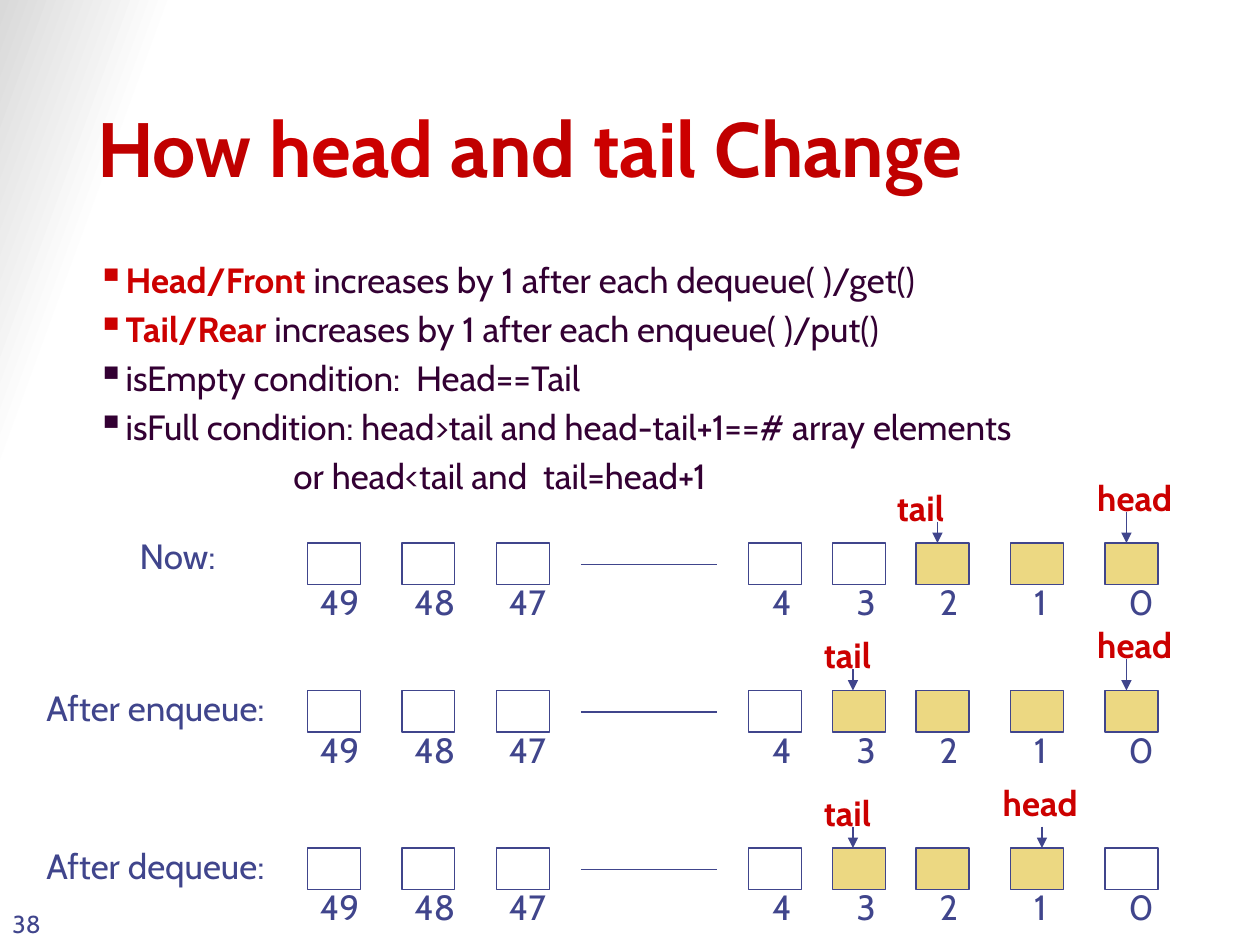
import pptx
import pptx.util
import pptx.dml.color
import pptx.enum.shapes
import pptx.enum.text
import pptx.oxml
import pptx.oxml.ns
from lxml import etree

Inches, Pt = pptx.util.Inches, pptx.util.Pt
RGBColor = pptx.dml.color.RGBColor
qn = pptx.oxml.ns.qn
ANCHOR = pptx.enum.text.MSO_ANCHOR

FONT = "Cabin"
WHITE = RGBColor(0xFF, 0xFF, 0xFF)
GREY = RGBColor(0xD9, 0xD9, 0xD9)
BLUE = RGBColor(0x40, 0x45, 0x8C)
DARK_RED = RGBColor(0xC0, 0x00, 0x00)
RED = RGBColor(0xCC, 0x00, 0x00)
PLUM = RGBColor(0x33, 0x00, 0x33)
GOLD = RGBColor(0xEC, 0xD8, 0x82)


def add_text(x, y, w, h, text, color=BLUE, size=20, bold=False):
    tf = s.shapes.add_textbox(Inches(x), Inches(y), Inches(w), Inches(h)).text_frame
    tf.word_wrap = True
    r = tf.paragraphs[0].add_run()
    r.text = text
    r.font.name, r.font.size, r.font.bold = FONT, Pt(size), bold
    r.font.color.rgb = color
    return tf


def add_line(x1, y1, x2, y2, arrow=False):
    line = s.shapes.add_connector(pptx.enum.shapes.MSO_CONNECTOR.STRAIGHT,
                                  Inches(x1), Inches(y1), Inches(x2), Inches(y2))
    line.line.color.rgb = BLUE
    line.line.width = Pt(0.75)
    if arrow:
        etree.SubElement(line.line._get_or_add_ln(), qn("a:tailEnd"), type="triangle")
    etree.SubElement(line._element.spPr, qn("a:effectLst"))


prs = pptx.Presentation()
prs.slide_width, prs.slide_height = Inches(10), Inches(7.5)
s = prs.slides.add_slide(prs.slide_layouts[5])

# Background: white, shading to grey at the upper left
fill = s.background.fill
fill.gradient()
fill.gradient_angle = 160
for stop, position, color in zip(fill.gradient_stops, (0.89, 1), (WHITE, GREY)):
    stop.position = position
    stop.color.rgb = color

# Title
title = s.shapes.title
title.left, title.top = Inches(0.67), Inches(0.33)
title.width, title.height = Inches(8.5), Inches(1.25)
tf = title.text_frame
tf.vertical_anchor = ANCHOR.BOTTOM
p = tf.paragraphs[0]
p.alignment = pptx.enum.text.PP_ALIGN.LEFT
for text, color in (("How ", DARK_RED), ("head", RED), (" and ", DARK_RED),
                    ("tail", RED), (" Change", DARK_RED)):
    r = p.add_run()
    r.text = text
    r.font.name, r.font.size, r.font.bold = FONT, Pt(44), True
    r.font.color.rgb = color

# Slide number
add_text(0, 7, 0.58, 0.5, "38", size=14).vertical_anchor = ANCHOR.BOTTOM

# Rules: red lead-in, text, bulleted or not
rules = [
    ("Head/Front ", "increases by 1 after each dequeue( )/get()", True),
    ("Tail/Rear ", "increases by 1 after each enqueue( )/put()", True),
    ("", "isEmpty condition:  Head==Tail", True),
    ("", "isFull condition: head>tail and head-tail+1==# array elements", True),
    ("", "or head<tail and  tail=head+1", False),
]
tf = s.shapes.add_textbox(Inches(0.67), Inches(2), Inches(9.08), Inches(1.81)).text_frame
tf.word_wrap = True
for i, (lead, text, bulleted) in enumerate(rules):
    p = tf.paragraphs[0] if i == 0 else tf.add_paragraph()
    if i:
        p.space_before = Pt(4)
    pPr = p._p.get_or_add_pPr()
    pPr.set("indent", "0")
    if bulleted:
        pPr.set("marL", "0")
        etree.SubElement(pPr, qn("a:buSzPct"), val="110000")
        etree.SubElement(pPr, qn("a:buChar"), char="▪")
    else:
        pPr.set("marL", str(Inches(1.56)))
    for part, color, bold in ((lead, RED, True), (text, PLUM, False)):
        if part:
            r = p.add_run()
            r.text = part
            r.font.name, r.font.size, r.font.bold = FONT, Pt(20), bold
            r.font.color.rgb = color

# Queue states: label, its left and offset, row top, filled cells,
# then for each pointer: cell, text offset, arrow offset, arrow length
cells = {"49": 2.44, "48": 3.19, "47": 3.94, "4": 5.94, "3": 6.61,
         "2": 7.27, "1": 8.02, "0": 8.77}
states = [
    ("Now:", 1.01, -0.12, 4.31, "210",
     ("2", -0.25, 0.17, 0.17), ("0", -0.16, 0.17, 0.25)),
    ("After enqueue:", 0.27, -0.08, 5.48, "3210",
     ("3", -0.17, 0.16, 0.17), ("0", -0.16, 0.17, 0.25)),
    ("After dequeue:", 0.27, -0.08, 6.73, "321",
     ("3", -0.17, 0.16, 0.17), ("1", -0.16, 0.25, 0.17)),
]
for label, label_x, label_dy, top, filled, tail, head in states:
    add_text(label_x, top + label_dy, 2.05, 0.44, label)

    # Array cells with their indexes
    for index, x in cells.items():
        box = s.shapes.add_shape(pptx.enum.shapes.MSO_SHAPE.RECTANGLE,
                                 Inches(x), Inches(top), Inches(0.42), Inches(0.33))
        box.shadow.inherit = False
        box.line.color.rgb = BLUE
        box.line.width = Pt(0.75)
        if index in filled:
            box.fill.solid()
            box.fill.fore_color.rgb = GOLD
        else:
            box.fill.background()
        one_digit = len(index) == 1
        add_text(x + (0.09 if one_digit else 0), top + 0.25,
                 0.37 if one_digit else 0.58, 0.44, index)

    # Line standing for the omitted cells
    add_line(4.61, top + 0.17, 5.69, top + 0.17)

    # Pointers
    for name, width, rise, pointer in (("tail", 0.65, 0.5, tail), ("head", 0.89, 0.58, head)):
        index, text_dx, arrow_dx, length = pointer
        x = cells[index]
        add_text(x + text_dx, top - rise, width, 0.44, name, RED, bold=True)
        add_line(x + arrow_dx, top - length, x + arrow_dx, top, arrow=True)

prs.save("out.pptx")
